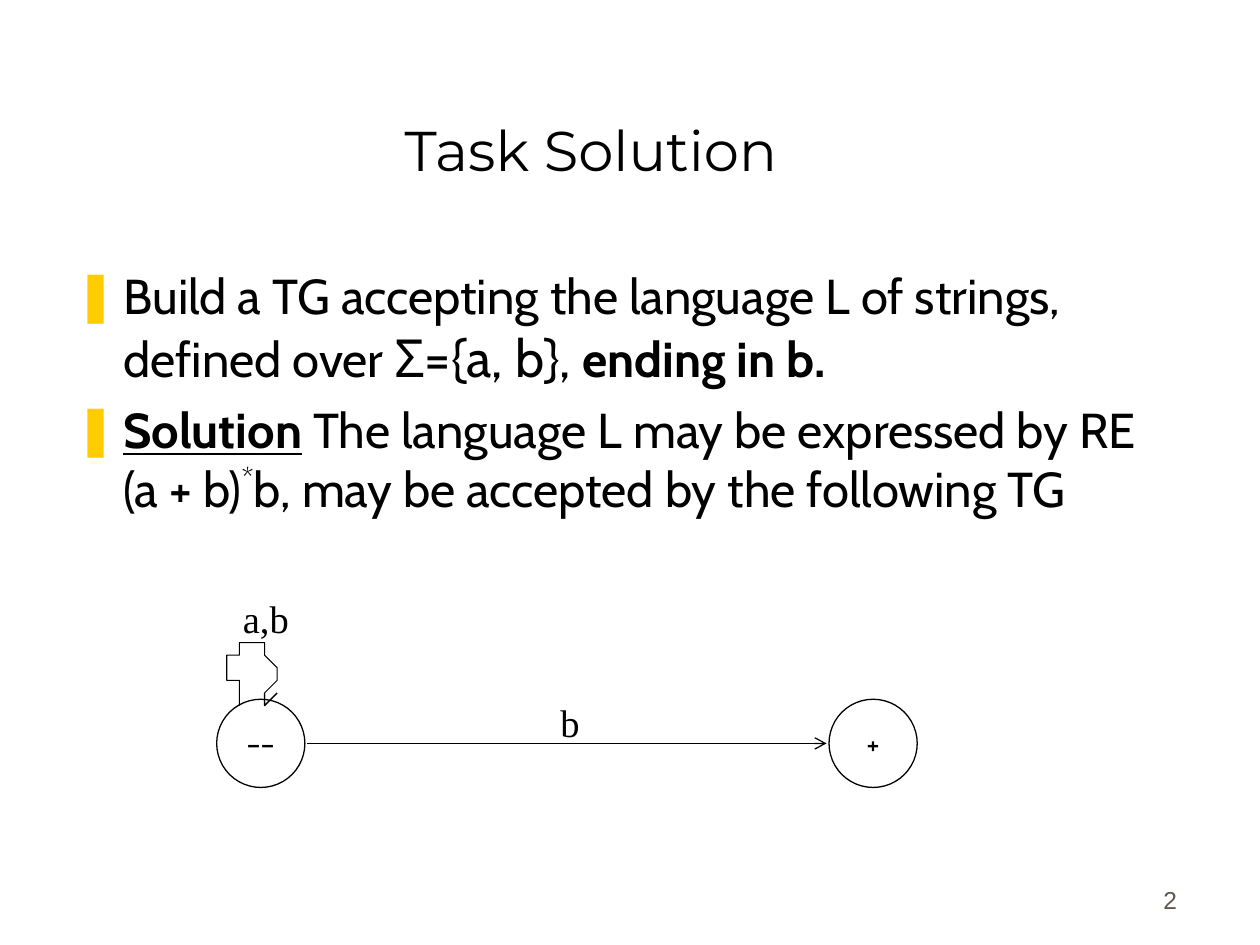
from lxml import etree
from pptx import Presentation
from pptx import util as u
from pptx.dml.color import RGBColor
from pptx.enum import shapes, text
from pptx.oxml.ns import qn

COLORS = {"ink": "000000", "paper": "FFFFFF", "bullet": "FFCC00", "number": "5E574E"}
SERIF = "Times New Roman"

deck = Presentation()
deck.slide_width, deck.slide_height = u.Inches(10), u.Inches(7.5)
CELL = deck.slide_width / 100  # the slide is a grid of 100 columns by 75 rows


def grid(*cells):
    return [round(cell * CELL) for cell in cells]


def add_span(para, words, font, size, color="ink", bold=False, underline=False):
    span = para.add_run()
    span.text = words
    span.font.name, span.font.size = font, u.Pt(size)
    span.font.bold, span.font.underline = bold, underline
    span.font.color.rgb = RGBColor.from_string(COLORS[color])
    return span


page = deck.slides.add_slide(deck.slide_layouts[1])

# Title
title = page.shapes.title
title.left, title.top, title.width, title.height = grid(4.4, 2.5, 85, 12.5)
title.text_frame.vertical_anchor = text.MSO_ANCHOR.BOTTOM
title.text_frame.auto_size = text.MSO_AUTO_SIZE.NONE
para = title.text_frame.paragraphs[0]
para.alignment = text.PP_ALIGN.CENTER
add_span(para, "Task Solution", "Montserrat", 32)

# Task and solution: words, size, bold, underline, baseline
body = page.placeholders[1]
body.left, body.top, body.width, body.height = grid(5, 20.6, 89.4, 45.6)
body.text_frame.auto_size = text.MSO_AUTO_SIZE.NONE
items = [
    [
        ("Build a TG accepting the language L of strings, defined over ", 28, False, False, 0),
        ("Σ={a, b},", 30, False, False, 0),
        (" ", 28, False, False, 0),
        ("ending in b.", 28, True, False, 0),
    ],
    [
        ("Solution", 28, True, True, 0),
        (" ", 28, True, False, 0),
        ("The language L may be expressed by RE (a + b)", 28, False, False, 0),
        ("*", 28, False, False, 40),
        ("b, may be accepted by the following TG", 28, False, False, 0),
    ],
]
indent = u.Inches(0.38)
for index, item in enumerate(items):
    para = body.text_frame.paragraphs[0] if index == 0 else body.text_frame.add_paragraph()
    para.space_before = u.Pt(7)
    props = para._p.get_or_add_pPr()
    props.set("marL", str(indent))
    props.set("indent", str(-indent))
    bullet_color = etree.SubElement(props, qn("a:buClr"))
    etree.SubElement(bullet_color, qn("a:srgbClr"), val=COLORS["bullet"])
    etree.SubElement(props, qn("a:buChar"), char="❚")
    for words, size, bold, underline, baseline in item:
        span = add_span(para, words, "Cabin", size, bold=bold, underline=underline)
        if baseline:
            span.font._element.set("baseline", str(baseline * 1000))

# States
for sign, left in (("––", 17.2), ("+", 65.8)):
    state = page.shapes.add_shape(shapes.MSO_SHAPE.OVAL, *grid(left, 55.5, 7, 7))
    state.shadow.inherit = False
    state.fill.solid()
    state.fill.fore_color.rgb = RGBColor.from_string(COLORS["paper"])
    state.line.color.rgb = RGBColor.from_string(COLORS["ink"])
    state.line.width = u.Pt(0.75)
    frame = state.text_frame
    frame.margin_left = frame.margin_right = frame.margin_top = frame.margin_bottom = 0
    frame.vertical_anchor = text.MSO_ANCHOR.MIDDLE
    frame.paragraphs[0].alignment = text.PP_ALIGN.CENTER
    add_span(frame.paragraphs[0], sign, "Cabin", 16)

# Transition from the start state to the final state
arrow = page.shapes.add_connector(shapes.MSO_CONNECTOR.STRAIGHT, *grid(24.4, 59, 65.6, 59))
arrow.line.color.rgb = RGBColor.from_string(COLORS["ink"])
arrow.line.width = u.Pt(0.75)
etree.SubElement(arrow.line._get_or_add_ln(), qn("a:tailEnd"), type="arrow")
etree.SubElement(arrow._element.spPr, qn("a:effectLst"))

# Loop on the start state: a cubic curve in small steps, then its arrowhead
controls = [(19.2, 55.5), (16, 50.2), (23.6, 49.5), (21.1, 55.5)]
STEPS = 40
curve = []
for step in range(STEPS + 1):
    t = step / STEPS
    weights = ((1 - t) ** 3, 3 * t * (1 - t) ** 2, 3 * t**2 * (1 - t), t**3)
    curve.append([sum(w * point[axis] for w, point in zip(weights, controls)) for axis in (0, 1)])
head = [(21.8, 54.6), (21.1, 55.5), (21, 54.6)]
for points, width in ((curve, 0.6), (head, 0.75)):
    builder = page.shapes.build_freeform(*points[0], scale=CELL)
    builder.add_line_segments(points[1:], close=False)
    outline = builder.convert_to_shape()
    outline.shadow.inherit = False
    outline.fill.background()
    outline.line.color.rgb = RGBColor.from_string(COLORS["ink"])
    outline.line.width = u.Pt(width)

# Transition labels and slide number
left_top = (text.PP_ALIGN.LEFT, text.MSO_ANCHOR.TOP)
right_bottom = (text.PP_ALIGN.RIGHT, text.MSO_ANCHOR.BOTTOM)
for words, place, font, size, color, (align, anchor) in (
    ("a,b", (18.3, 46.7, 13.7, 5.1), SERIF, 22, "ink", left_top),
    ("b", (43.5, 55, 13.7, 5.1), SERIF, 22, "ink", left_top),
    ("2", (73.6, 68.1, 20.8, 5), "Arial", 14, "number", right_bottom),
):
    box = page.shapes.add_textbox(*grid(*place))
    box.text_frame.word_wrap = True
    box.text_frame.vertical_anchor = anchor
    para = box.text_frame.paragraphs[0]
    para.alignment = align
    add_span(para, words, font, size, color)

deck.save("out.pptx")
